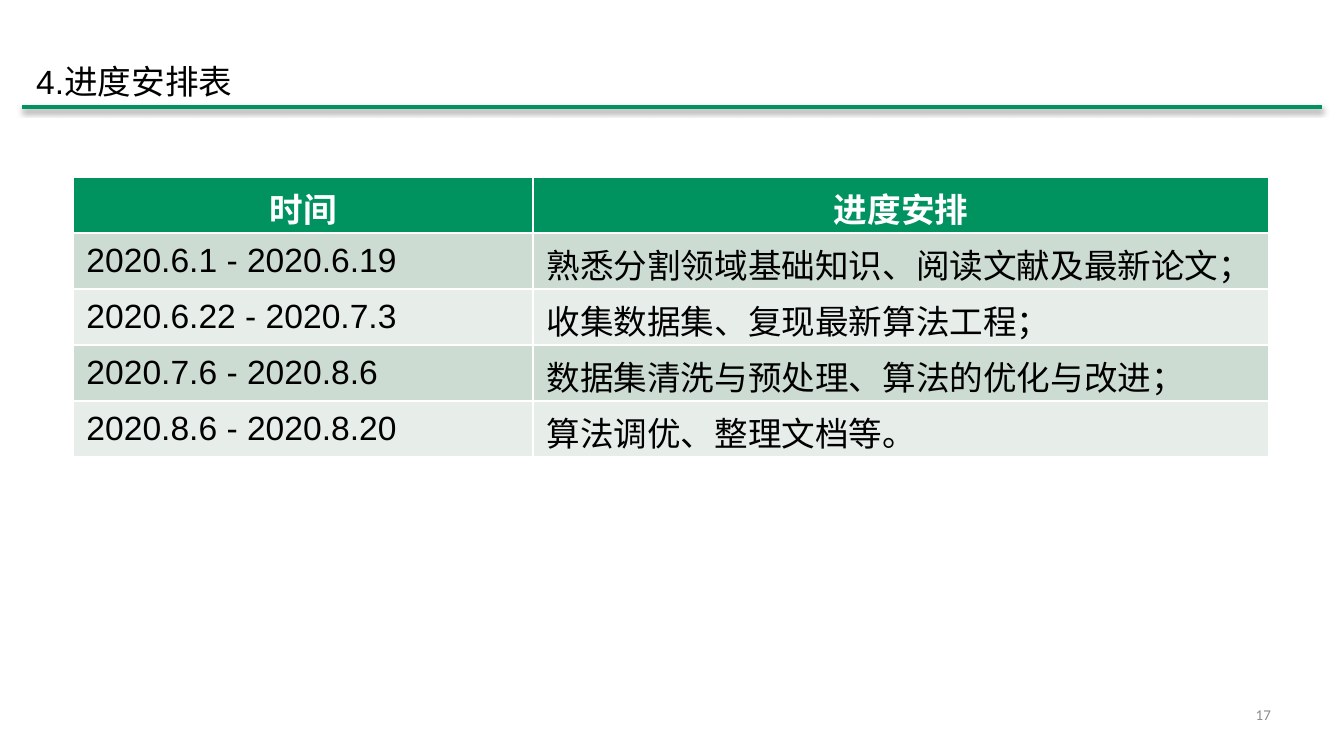
import pptx
import pptx.util
import pptx.dml.color
import pptx.enum.shapes
import pptx.enum.text
import lxml.etree

SCALE = 914400 / 134.4  # EMU in one px
GREEN, WHITE, BLACK, GREY = "00925F", "FFFFFF", "000000", "8C8C8C"
BANDS = ("CCDCD2", "E7EEEA")
ALIGN = pptx.enum.text.PP_ALIGN
ANCHOR = pptx.enum.text.MSO_ANCHOR

COLS = (460, 736)
ROW = 56
ROWS = (
    ("时间", "进度安排"),
    ("2020.6.1 - 2020.6.19", "熟悉分割领域基础知识、阅读文献及最新论文；"),
    ("2020.6.22 - 2020.7.3", "收集数据集、复现最新算法工程；"),
    ("2020.7.6 - 2020.8.6", "数据集清洗与预处理、算法的优化与改进；"),
    ("2020.8.6 - 2020.8.20", "算法调优、整理文档等。"),
)

SHADOW = """<a:effectLst xmlns:a="http://schemas.openxmlformats.org/drawingml/2006/main">
  <a:outerShdw blurRad="39370" dist="20320" dir="5400000" rotWithShape="0">
    <a:srgbClr val="000000"><a:alpha val="38000"/></a:srgbClr>
  </a:outerShdw>
</a:effectLst>"""


def px(n):
    return pptx.util.Emu(round(n * SCALE))


def color(code):
    return pptx.dml.color.RGBColor.from_string(code)


def style(para, tint, size=18, face="Arial", bold=False, align=ALIGN.LEFT):
    para.alignment = align
    font = para.font
    font.name, font.size, font.bold = face, pptx.util.Pt(size), bold
    font.color.rgb = color(tint)


def add_text(slide, box, text, tint, **look):
    frame = slide.shapes.add_textbox(*map(px, box)).text_frame
    frame.word_wrap = True
    frame.text = text
    style(frame.paragraphs[0], tint, **look)
    return frame


def add_rule(slide, left, right, top):
    kind = pptx.enum.shapes.MSO_CONNECTOR.STRAIGHT
    rule = slide.shapes.add_connector(kind, px(left), px(top), px(right), px(top))
    rule.line.color.rgb = color(GREEN)
    rule.line.width = pptx.util.Pt(2)
    rule._element.spPr.append(lxml.etree.fromstring(SHADOW))


def add_plan(slide, left, top):
    # The default table style gives the white borders
    table = slide.shapes.add_table(
        len(ROWS), len(COLS), px(left), px(top), px(sum(COLS)), px(ROW * len(ROWS))
    ).table
    for col, width in zip(table.columns, COLS):
        col.width = px(width)
    for r, row in enumerate(ROWS):
        head = r == 0
        for c, text in enumerate(row):
            cell = table.cell(r, c)
            cell.text = text
            cell.fill.solid()
            cell.fill.fore_color.rgb = color(GREEN if head else BANDS[(r - 1) % 2])
            cell.vertical_anchor = ANCHOR.TOP if head else ANCHOR.MIDDLE
            style(cell.text_frame.paragraphs[0], WHITE if head else BLACK,
                  bold=head, align=ALIGN.CENTER if head else ALIGN.LEFT)


def main():
    deck = pptx.Presentation()
    deck.slide_width, deck.slide_height = px(1344), px(756)
    slide = deck.slides.add_slide(deck.slide_layouts[6])

    # Page number
    page = add_text(slide, (1153, 699, 118, 32), "17", GREY,
                    size=8, face="Calibri", align=ALIGN.RIGHT)
    page.margin_right = 0

    # Heading and rule
    add_text(slide, (23, 54, 1300, 54), "4.进度安排表", BLACK)
    add_rule(slide, 22, 1322, 107)

    # Schedule
    add_plan(slide, 73, 177)

    deck.save("out.pptx")


if __name__ == "__main__":
    main()
